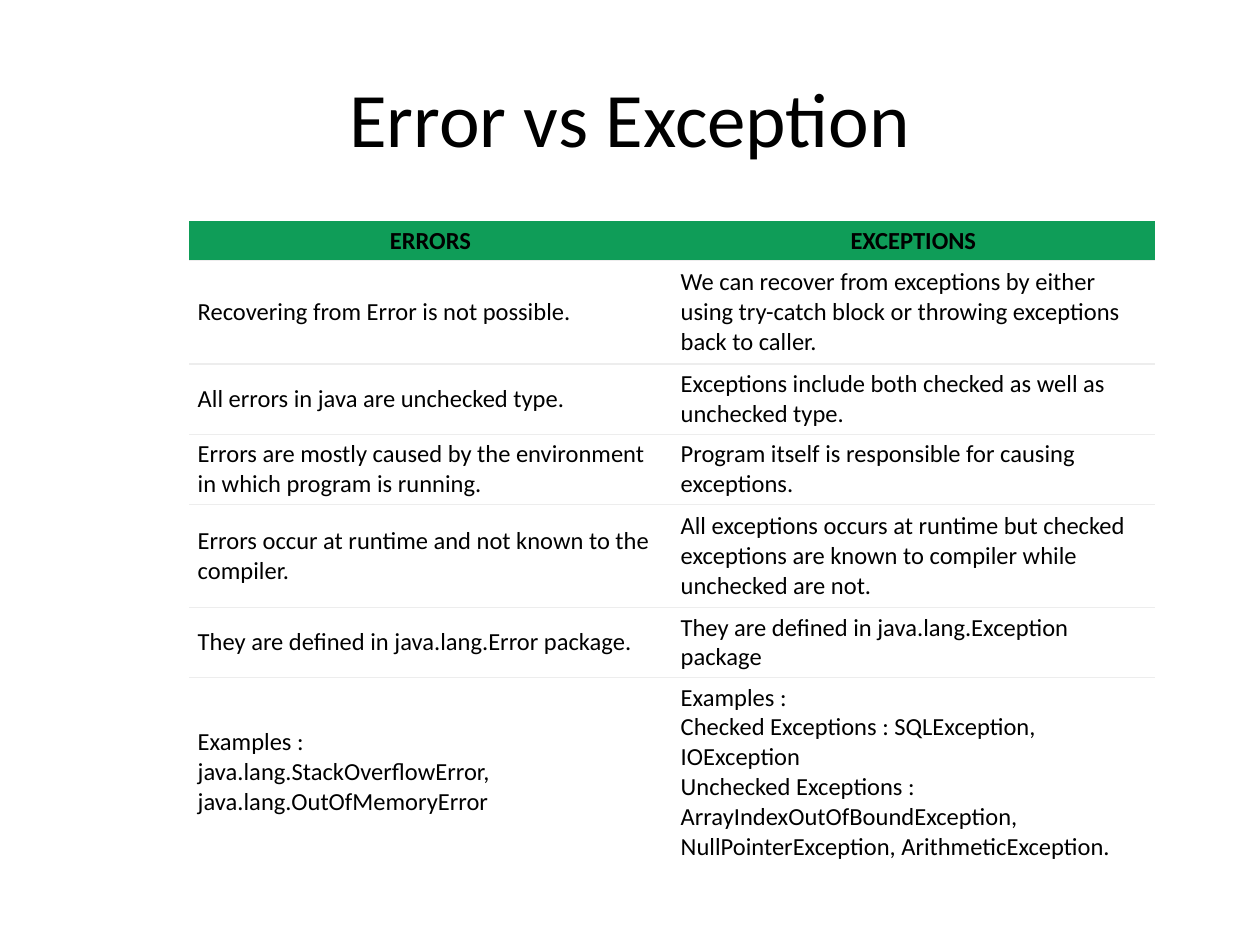
"""Build the "Error vs Exception" comparison slide."""
from copy import deepcopy

from lxml import etree
from pptx import Presentation
from pptx.dml.color import RGBColor
from pptx.enum.text import MSO_ANCHOR, PP_ALIGN
from pptx.oxml.ns import qn
from pptx.util import Pt

CENTER, LEFT = PP_ALIGN.CENTER, PP_ALIGN.LEFT
MIDDLE = MSO_ANCHOR.MIDDLE
TITLE_ONLY = 5
GREEN, WHITE, BLACK, GRAY = "0F9D58", "FFFFFF", "000000", "EDEDED"

ROWS = [
    (17, "ERRORS", "EXCEPTIONS"),
    (59, "Recovering from Error is not possible.",
     "We can recover from exceptions by either using try-catch block or throwing exceptions back to caller."),
    (37.5, "All errors in java are unchecked type.",
     "Exceptions include both checked as well as unchecked type."),
    (37.5, "Errors are mostly caused by the environment in which program is running.",
     "Program itself is responsible for causing exceptions."),
    (59, "Errors occur at runtime and not known to the compiler.",
     "All exceptions occurs at runtime but checked exceptions are known to compiler while unchecked are not."),
    (37.5, "They are defined in java.lang.Error package.",
     "They are defined in java.lang.Exception package"),
    (101.5, "Examples :\njava.lang.StackOverflowError, java.lang.OutOfMemoryError",
     "Examples :\nChecked Exceptions : SQLException, IOException\n"
     "Unchecked Exceptions : ArrayIndexOutOfBoundException, NullPointerException, ArithmeticException."),
]


def write(text_frame, text, size=14, bold=False, align=LEFT, color=BLACK):
    paragraph = text_frame.paragraphs[0]
    paragraph.alignment = align
    for index, line in enumerate(text.split("\n")):
        if index:
            paragraph.add_line_break()
        run = paragraph.add_run()
        run.text = line
        run.font.name = "Calibri"
        run.font.size = Pt(size)
        run.font.bold = bold
        run.font.color.rgb = RGBColor.from_string(color)
    for line_break in paragraph._p.findall(qn("a:br")):
        line_break.append(deepcopy(run.font._rPr))


def set_border(cell, side, color=None):
    properties = cell._tc.get_or_add_tcPr()
    line = etree.SubElement(properties, qn(f"a:ln{side}"), w=str(Pt(0.75)))
    if color:
        fill = etree.SubElement(line, qn("a:solidFill"))
        etree.SubElement(fill, qn("a:srgbClr"), val=color)
    else:
        etree.SubElement(line, qn("a:noFill"))


presentation = Presentation()
presentation.slide_width, presentation.slide_height = Pt(720), Pt(540)
slide = presentation.slides.add_slide(presentation.slide_layouts[TITLE_ONLY])

title = slide.shapes.title
title.left, title.top, title.width, title.height = Pt(36), Pt(21.6), Pt(648), Pt(90)
title.text_frame.vertical_anchor = MIDDLE
write(title.text_frame, "Error vs Exception", size=44, align=CENTER)

table_height = sum(row[0] for row in ROWS)
table = slide.shapes.add_table(len(ROWS), 2, Pt(108), Pt(126), Pt(552), Pt(table_height)).table
table.first_row = False
table.horz_banding = False

for row_index, (height, *texts) in enumerate(ROWS):
    table.rows[row_index].height = Pt(height)
    header = row_index == 0
    last = row_index == len(ROWS) - 1
    for column_index, text in enumerate(texts):
        cell = table.cell(row_index, column_index)
        cell.vertical_anchor = MIDDLE
        cell.margin_left = cell.margin_right = Pt(3 if header else 5)
        cell.margin_top = cell.margin_bottom = Pt(3)
        set_border(cell, "L")
        set_border(cell, "R")
        set_border(cell, "T", None if header else GRAY)
        set_border(cell, "B", None if last else GRAY)
        cell.fill.solid()
        cell.fill.fore_color.rgb = RGBColor.from_string(GREEN if header else WHITE)
        write(cell.text_frame, text, bold=header, align=CENTER if header else LEFT)

presentation.save("out.pptx")
